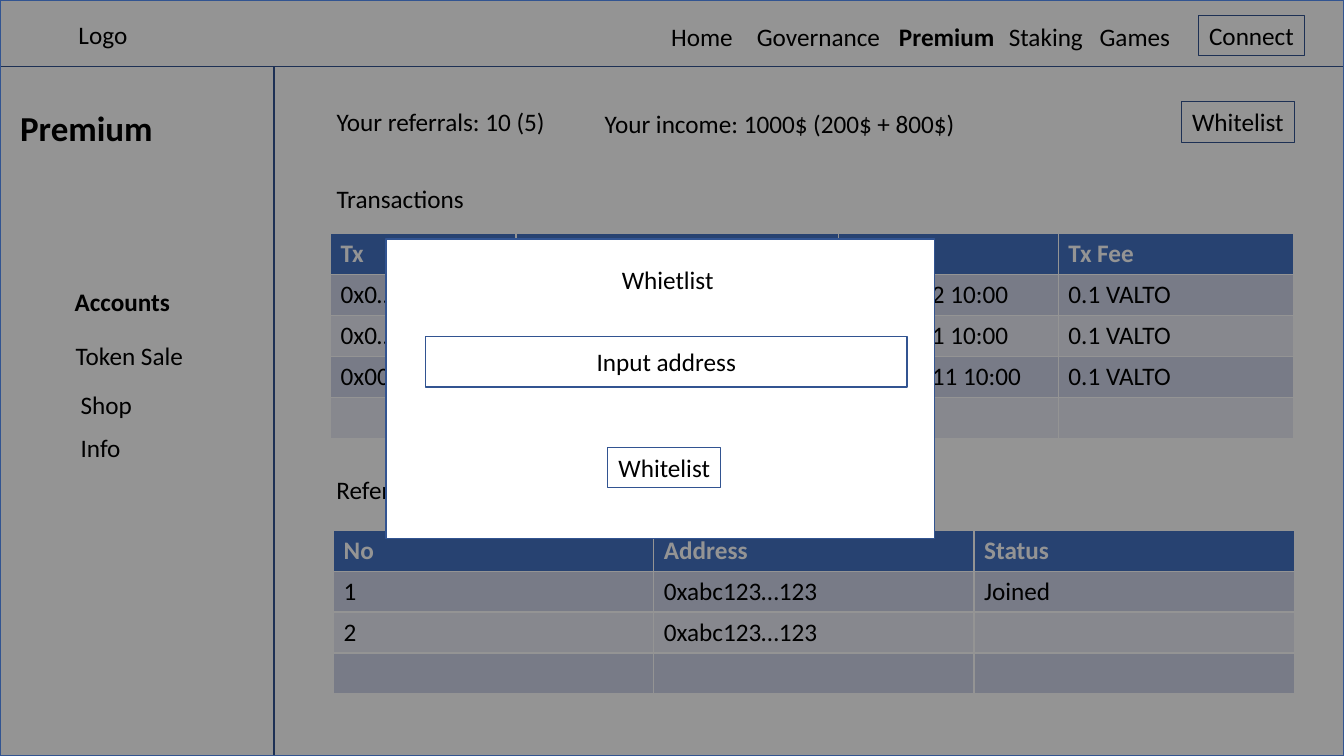
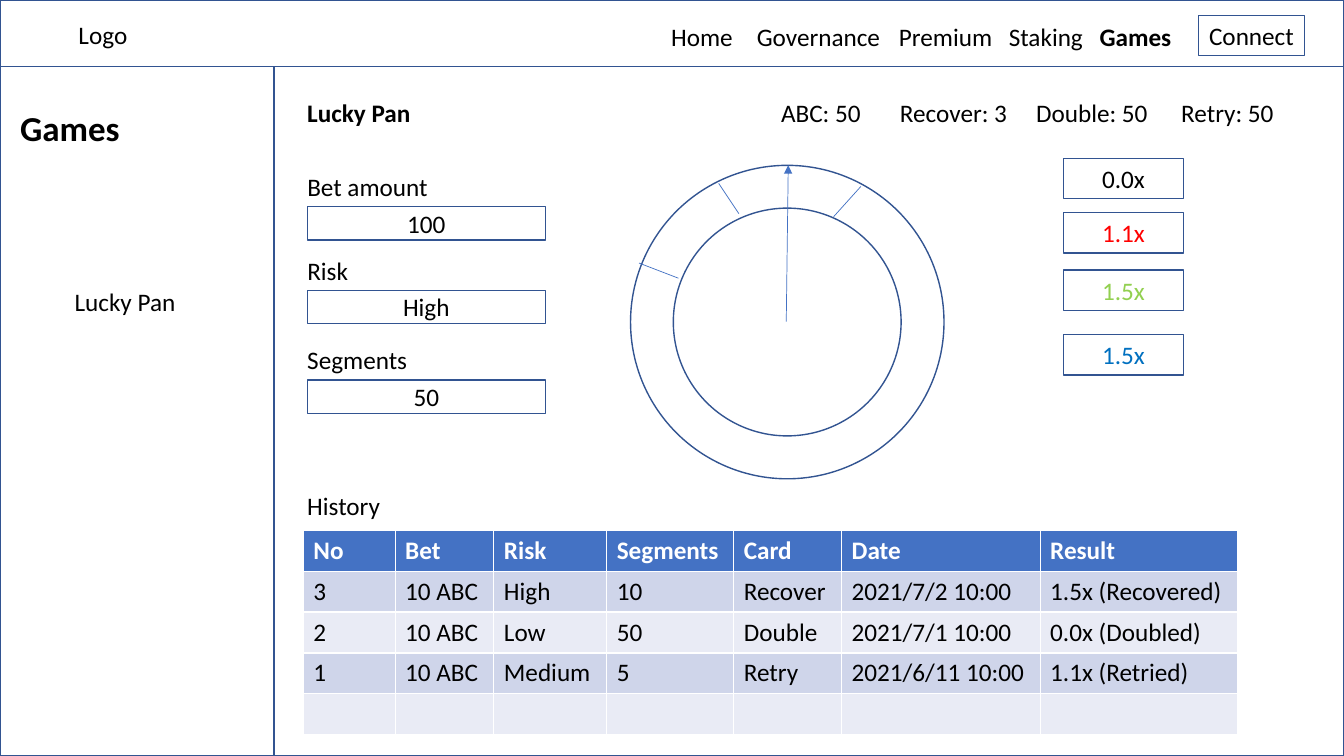
from lxml.etree import SubElement
from pptx import Presentation
from pptx.dml.color import RGBColor
from pptx.enum.shapes import MSO_CONNECTOR, MSO_SHAPE
from pptx.enum.text import MSO_ANCHOR, MSO_AUTO_SIZE, PP_ALIGN
from pptx.oxml.ns import qn
from pptx.util import Inches, Pt

# The grid has square cells of a tenth of an inch; all places are in cells.
COLS, ROWS = 133.33, 75
BAND_ROWS, SIDEBAR_COLS = 6.6, 27.2
TEXT_ROWS = 4
TABLE_ROW = 4.06

FONT = "Calibri"
BLACK, WHITE = "000000", "FFFFFF"
OUTLINE, ACCENT = "325491", "4472C4"
ROW_FILLS = ("CFD5EA", "E9EBF5")

NAVIGATION = [("Home", 65.6, 8.2), ("Governance", 74.1, 14.4), ("Premium", 88.2, 11.6),
              ("Staking", 99.1, 9.4), ("Games", 108.1, 9.1)]


def cells(count):
    return Inches(count / 10)


def place(*lengths):
    return [cells(length) for length in lengths]


def rgb(color):
    return RGBColor.from_string(color)


def style_paragraph(paragraph, text, size=18, color=BLACK, bold=False, align=PP_ALIGN.LEFT):
    run = paragraph.add_run()
    run.text = text
    run.font.name, run.font.size, run.font.bold = FONT, Pt(size), bold
    run.font.color.rgb = rgb(color)
    paragraph.alignment = align


def write(frame, text, wrap=True, anchor=MSO_ANCHOR.TOP, fit=MSO_AUTO_SIZE.NONE, **style):
    frame.word_wrap, frame.vertical_anchor, frame.auto_size = wrap, anchor, fit
    style_paragraph(frame.paragraphs[0], text, **style)


def add_label(slide, text, left, top, width, **style):
    label = slide.shapes.add_textbox(*place(left, top, width, TEXT_ROWS))
    write(label.text_frame, text, wrap=False, fit=MSO_AUTO_SIZE.SHAPE_TO_FIT_TEXT, **style)


def add_outline(slide, left, top, width, height, kind=MSO_SHAPE.RECTANGLE,
                fill=None, opacity=None, weight=1):
    shape = slide.shapes.add_shape(kind, *place(left, top, width, height))
    shape.shadow.inherit = False
    shape.line.color.rgb, shape.line.width = rgb(OUTLINE), Pt(weight)
    if fill is None:
        shape.fill.background()
    else:
        shape.fill.solid()
        shape.fill.fore_color.rgb = rgb(fill)
    if opacity is not None:
        color = shape.fill._xPr.find(qn("a:solidFill"))[0]
        SubElement(color, qn("a:alpha"), val=str(opacity * 1000))
    return shape


def add_field(slide, text, left, top, width, height, color=BLACK, **outline):
    """Add an outlined box with its text in the middle."""
    field = add_outline(slide, left, top, width, height, **outline)
    write(field.text_frame, text, wrap=False, anchor=MSO_ANCHOR.MIDDLE,
          align=PP_ALIGN.CENTER, color=color)


def add_button(slide, text, left, top, width):
    add_field(slide, text, left, top, width, TEXT_ROWS, fill=WHITE, weight=0.75)


def add_line(slide, start, end, arrow=False):
    line = slide.shapes.add_connector(MSO_CONNECTOR.STRAIGHT, *place(*start, *end))
    line.line.color.rgb, line.line.width = rgb(ACCENT), Pt(0.5)
    if arrow:
        SubElement(line.line._get_or_add_ln(), qn("a:tailEnd"), type="triangle")
    SubElement(line._element.spPr, qn("a:effectLst"))


def add_grid(slide, left, top, widths, records):
    """Add a table whose first record is the header."""
    table = slide.shapes.add_table(
        len(records), len(widths),
        *place(left, top, sum(widths), TABLE_ROW * len(records))).table
    for column, width in zip(table.columns, widths):
        column.width = cells(width)
    for r, record in enumerate(records):
        header = r == 0
        for c, text in enumerate(record):
            cell = table.cell(r, c)
            cell.fill.solid()
            cell.fill.fore_color.rgb = rgb(ACCENT if header else ROW_FILLS[(r - 1) % 2])
            if text:
                style_paragraph(cell.text_frame.paragraphs[0], text, bold=header,
                                color=WHITE if header else BLACK)


def fill_menu(body, menu):
    """Fill the sidebar list with (text, space before, indent, bold) entries."""
    body.left, body.top, body.width, body.height = place(6.4, 27.9, 19, 20)
    frame = body.text_frame
    frame.word_wrap, frame.auto_size = True, MSO_AUTO_SIZE.NONE
    for index, (text, space, indent, bold) in enumerate(menu):
        paragraph = frame.add_paragraph() if index else frame.paragraphs[0]
        style_paragraph(paragraph, text, bold=bold)
        paragraph.space_before = Pt(space)
        properties = paragraph._p.get_or_add_pPr()
        properties.set("marL", str(cells(indent)))
        properties.set("indent", "0")
        SubElement(properties, qn("a:buNone"))


def start_page(deck, section, menu):
    """Add a slide with the frame, navigation and sidebar of every page."""
    slide = deck.slides.add_slide(deck.slide_layouts[1])
    add_outline(slide, 0, 0, COLS, ROWS)
    add_outline(slide, 0, 0, COLS, BAND_ROWS)
    add_outline(slide, 0, BAND_ROWS, SIDEBAR_COLS, ROWS - BAND_ROWS)
    title = slide.shapes.title
    title.left, title.top, title.width, title.height = place(1, 10.1, 20.5, 5.2)
    write(title.text_frame, section, size=25, bold=True)
    fill_menu(slide.placeholders[1], menu)
    add_label(slide, "Logo", 6.8, 1.4, 6.9)
    for name, left, width in NAVIGATION:
        add_label(slide, name, left, 1.6, width, bold=name == section)
    add_button(slide, "Connect", 118.9, 1.5, 10.5)
    return slide


def add_whitelist_dialog(slide):
    add_outline(slide, 0, 0, COLS, ROWS, fill=BLACK, opacity=42)
    add_outline(slide, 38.3, 23.7, 54.4, 29.7, fill=WHITE)
    add_label(slide, "Whietlist", 60.7, 25.7, 11.2)
    add_field(slide, "Input address", 42.2, 33.4, 47.8, 5)
    add_button(slide, "Whitelist", 60.3, 44.4, 11.2)


def build_premium(deck):
    slide = start_page(deck, "Premium", [
        ("Accounts", 0, 0, True), ("Token Sale", 17, 0.1, False),
        ("Shop", 13.5, 0.6, False), ("Info", 9, 0.6, False)])
    add_button(slide, "Whitelist", 117.2, 10.1, 11.2)
    for text, left, top, width in [
            ("Your referrals: 10 (5)", 32.4, 10.1, 22.9),
            ("Your income: 1000$ (200$ + 800$)", 59, 10.3, 37.2),
            ("Transactions", 32.4, 17.7, 14.8),
            ("Referrals", 32.4, 46.6, 11)]:
        add_label(slide, text, left, top, width)
    add_grid(slide, 32.8, 23.2, [18.4, 32, 21.8, 23.3], [
        ("Tx", "Description", "Date", "Tx Fee"),
        ("0x0…", "Purchased 100 ABC", "2021/7/2 10:00", "0.1 VALTO"),
        ("0x0…", "Whitelisted 0x3abc..030", "2021/7/1 10:00", "0.1 VALTO"),
        ("0x00…", "Registered", "2021/6/11 10:00", "0.1 VALTO"),
        ("",) * 4])
    add_grid(slide, 33.1, 52.6, [31.77] * 3, [
        ("No", "Address", "Status"),
        ("1", "0xabc123…123", "Joined"),
        ("2", "0xabc123…123", ""),
        ("",) * 3])
    add_whitelist_dialog(slide)


def add_wheel(slide, center_x, center_y):
    for radius in (15.55, 11.3):
        add_outline(slide, center_x - radius, center_y - radius, 2 * radius, 2 * radius,
                    kind=MSO_SHAPE.OVAL)
    add_line(slide, (78, 31.9), (78.2, 16.4), arrow=True)
    for inner, outer in [((82.7, 21.5), (85.4, 18.5)), ((73.3, 21.2), (71.3, 18.2)),
                         ((67.3, 27.6), (63.4, 26.1))]:
        add_line(slide, inner, outer)


def build_games(deck):
    slide = start_page(deck, "Games", [("Lucky Pan", 0, 0, False)])
    add_label(slide, "Lucky Pan", 29.5, 9.2, 12.4, bold=True)
    for balance, left, width in [("ABC: 50", 76.5, 10), ("Recover: 3", 88.3, 12.8),
                                 ("Double: 50", 101.8, 13.2), ("Retry: 50", 116.2, 11.3)]:
        add_label(slide, balance, left, 9.2, width)
    for setting, value, top, width in [("Bet amount", "100", 16.5, 14.1),
                                       ("Risk", "High", 24.8, 6.1),
                                       ("Segments", "50", 33.7, 12)]:
        add_label(slide, setting, 29.5, top, width)
        add_field(slide, value, 30.5, top + TEXT_ROWS, 23.6, 3.3)
    add_wheel(slide, 78.1, 31.95)
    for multiplier, top, color in [("0.0x", 15.7, BLACK), ("1.1x", 21.1, "FF0000"),
                                   ("1.5x", 26.8, "92D050"), ("1.5x", 33.2, "0070C0")]:
        add_field(slide, multiplier, 105.5, top, 11.9, TEXT_ROWS, color=color)
    add_label(slide, "History", 29.5, 48.2, 9.3)
    add_grid(slide, 30.1, 52.6, [9.1, 9.8, 11.2, 12.6, 10.7, 19.7, 19.6], [
        ("No", "Bet", "Risk", "Segments", "Card", "Date", "Result"),
        ("3", "10 ABC", "High", "10", "Recover", "2021/7/2 10:00", "1.5x (Recovered)"),
        ("2", "10 ABC", "Low", "50", "Double", "2021/7/1 10:00", "0.0x (Doubled)"),
        ("1", "10 ABC", "Medium", "5", "Retry", "2021/6/11 10:00", "1.1x (Retried)"),
        ("",) * 7])


def main():
    deck = Presentation()
    deck.slide_width, deck.slide_height = place(COLS, ROWS)
    build_premium(deck)
    build_games(deck)
    deck.save("out.pptx")


if __name__ == "__main__":
    main()
